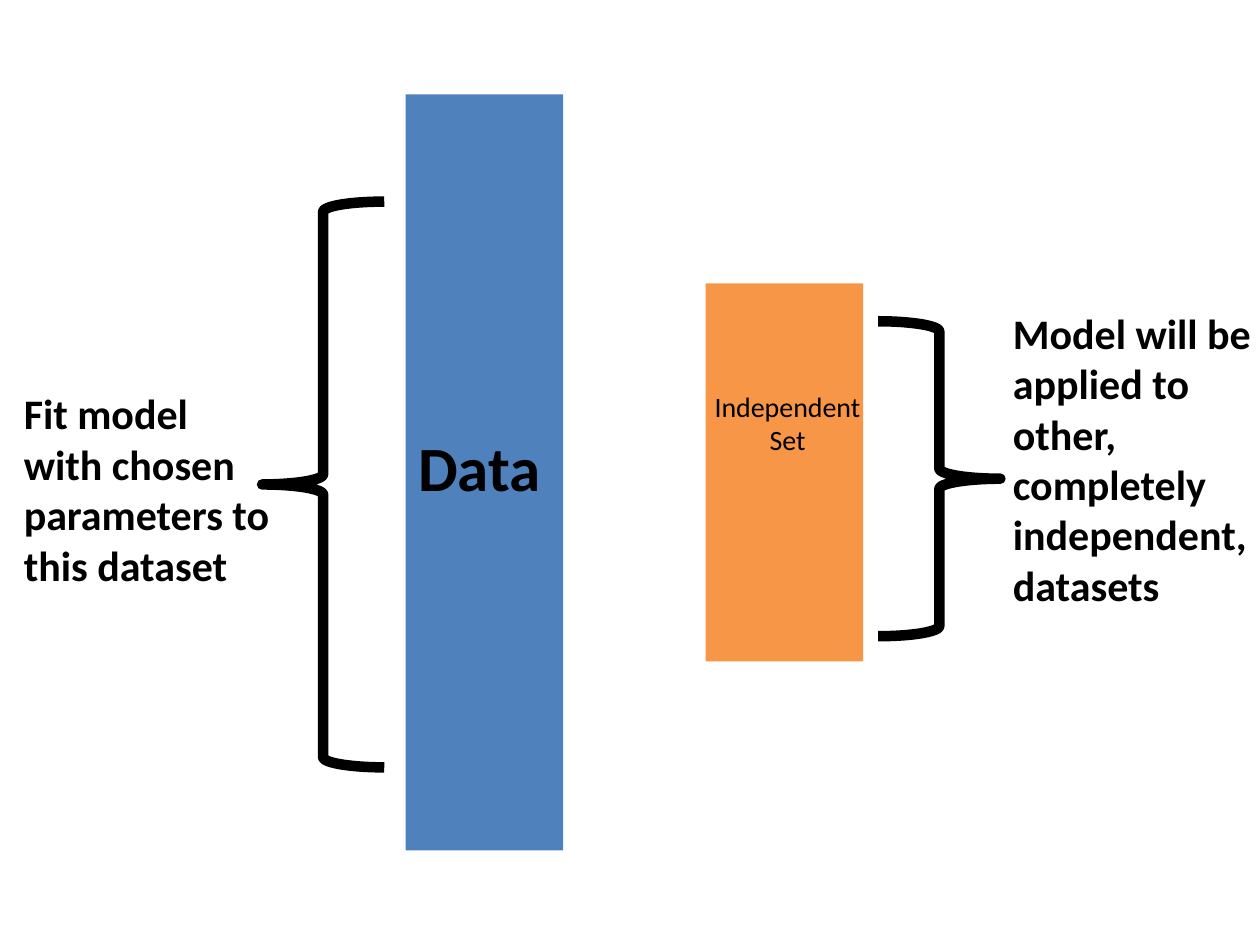
from dataclasses import dataclass

from pptx import Presentation
from pptx.dml.color import RGBColor
from pptx.enum.shapes import MSO_SHAPE
from pptx.enum.text import MSO_AUTO_SIZE, PP_ALIGN
from pptx.slide import Slide
from pptx.util import Inches, Pt

RECTANGLE = MSO_SHAPE.RECTANGLE
LEFT_BRACE = MSO_SHAPE.LEFT_BRACE
RIGHT_BRACE = MSO_SHAPE.RIGHT_BRACE
GROW = MSO_AUTO_SIZE.SHAPE_TO_FIT_TEXT
LEFT = PP_ALIGN.LEFT
CENTER = PP_ALIGN.CENTER

SLIDE_WIDTH = 10
SLIDE_HEIGHT = 7.5


@dataclass(frozen=True)
class Theme:
    font: str = "Calibri"
    ink: RGBColor = RGBColor(0x00, 0x00, 0x00)
    data: RGBColor = RGBColor(0x4F, 0x81, 0xBD)
    independent: RGBColor = RGBColor(0xF7, 0x96, 0x46)
    title_size: int = 36
    note_size: int = 24
    label_size: int = 16
    brace_weight: int = 6


THEME = Theme()


@dataclass(frozen=True)
class Area:
    left: float
    top: float
    width: float
    height: float

    def lengths(self) -> tuple[int, int, int, int]:
        return (
            Inches(self.left),
            Inches(self.top),
            Inches(self.width),
            Inches(self.height),
        )


@dataclass(frozen=True)
class Bar:
    left: float
    height_share: float
    color: RGBColor

    def area(self) -> Area:
        height = SLIDE_HEIGHT * self.height_share
        return Area(self.left, (SLIDE_HEIGHT - height) / 2, SLIDE_WIDTH / 8, height)


@dataclass(frozen=True)
class Brace:
    kind: MSO_SHAPE
    area: Area


@dataclass(frozen=True)
class Label:
    area: Area
    lines: tuple[str, ...]
    size: int
    bold: bool = True
    align: PP_ALIGN = LEFT
    wrap: bool = False


BARS = (
    Bar(3.22, 0.8, THEME.data),
    Bar(5.6, 0.4, THEME.independent),
)

BRACES = (
    Brace(LEFT_BRACE, Area(2.08, 1.6, 0.97, 4.49)),
    Brace(RIGHT_BRACE, Area(6.97, 2.55, 0.97, 2.5)),
)

LABELS = (
    Label(Area(3.22, 3.35, 1.19, 0.82), ("Data",), THEME.title_size),
    Label(
        Area(5.56, 3.04, 1.38, 0.64),
        ("Independent", "Set"),
        THEME.label_size,
        bold=False,
        align=CENTER,
    ),
    Label(
        Area(0.09, 3.03, 2.19, 1.72),
        ("Fit model", "with chosen", "parameters to", "this dataset"),
        THEME.note_size,
    ),
    Label(
        Area(7.94, 2.39, 2.12, 2.83),
        ("Model will be applied to other, completely independent, datasets",),
        THEME.note_size,
        wrap=True,
    ),
)


def draw_bar(page: Slide, bar: Bar) -> None:
    shape = page.shapes.add_shape(RECTANGLE, *bar.area().lengths())
    shape.shadow.inherit = False
    shape.fill.solid()
    shape.fill.fore_color.rgb = bar.color
    shape.line.fill.background()


def draw_brace(page: Slide, brace: Brace) -> None:
    shape = page.shapes.add_shape(brace.kind, *brace.area.lengths())
    shape.shadow.inherit = False
    shape.fill.background()
    shape.line.color.rgb = THEME.ink
    shape.line.width = Pt(THEME.brace_weight)


def draw_label(page: Slide, label: Label) -> None:
    box = page.shapes.add_textbox(*label.area.lengths())
    frame = box.text_frame
    frame.word_wrap = label.wrap
    frame.auto_size = GROW
    for index, line in enumerate(label.lines):
        para = frame.add_paragraph() if index else frame.paragraphs[0]
        para.alignment = label.align
        span = para.add_run()
        span.text = line
        span.font.name = THEME.font
        span.font.size = Pt(label.size)
        span.font.bold = label.bold
        span.font.color.rgb = THEME.ink


def main() -> None:
    deck = Presentation()
    deck.slide_width = Inches(SLIDE_WIDTH)
    deck.slide_height = Inches(SLIDE_HEIGHT)
    page = deck.slides.add_slide(deck.slide_layouts[6])
    for bar in BARS:
        draw_bar(page, bar)
    for brace in BRACES:
        draw_brace(page, brace)
    for label in LABELS:
        draw_label(page, label)
    deck.save("out.pptx")


if __name__ == "__main__":
    main()
